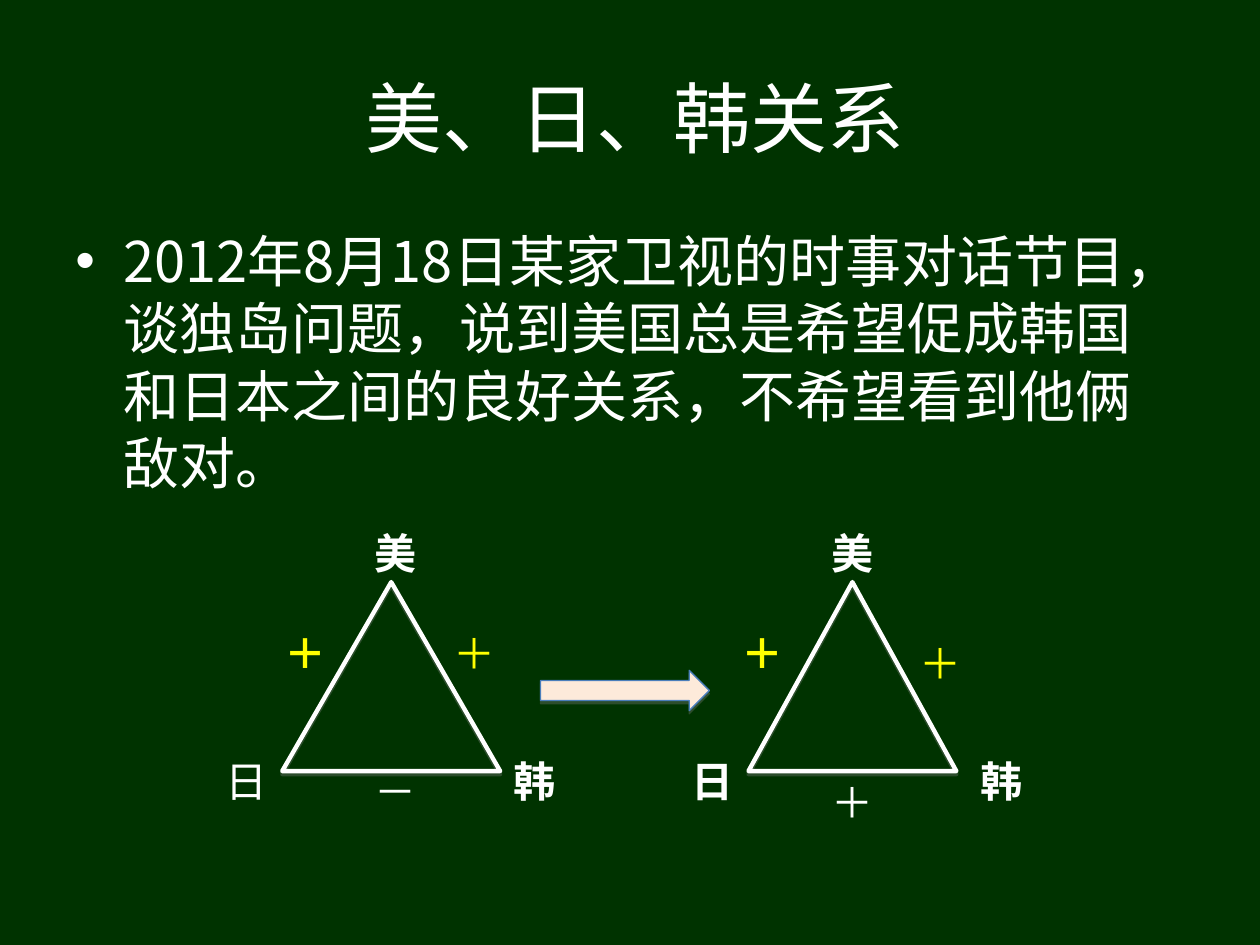
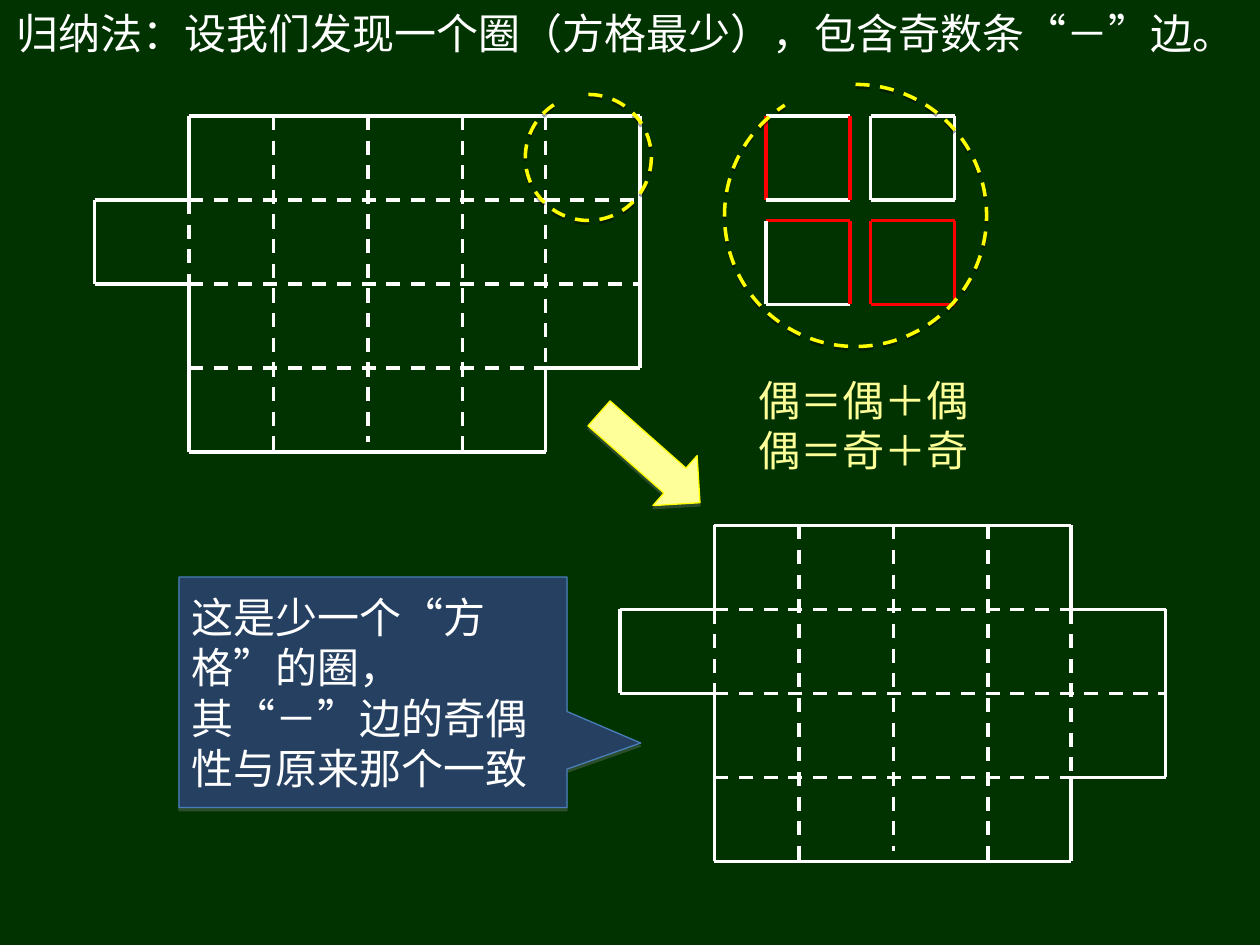
import pptx
import pptx.dml.color
import pptx.enum.dml
import pptx.enum.lang
import pptx.enum.shapes
import pptx.enum.text
import pptx.oxml
import pptx.oxml.ns
import pptx.util
from lxml import etree

Inches = pptx.util.Inches
Pt = pptx.util.Pt
RGBColor = pptx.dml.color.RGBColor
Shape = pptx.enum.shapes.MSO_SHAPE
qn = pptx.oxml.ns.qn

BOARD = RGBColor(0x00, 0x33, 0x00)
WHITE = RGBColor(0xFF, 0xFF, 0xFF)
YELLOW = RGBColor(0xFF, 0xFF, 0x00)
PALE_YELLOW = RGBColor(0xFF, 0xFF, 0x99)
RED = RGBColor(0xFF, 0x00, 0x00)
CREAM = RGBColor(0xFD, 0xEA, 0xDA)
NAVY = RGBColor(0x25, 0x40, 0x61)
BLUE = RGBColor(0x4A, 0x7E, 0xBB)
GRAY = RGBColor(0x80, 0x80, 0x80)
BLACK = RGBColor(0x00, 0x00, 0x00)

CJK_FONT = "Noto Sans CJK SC"
SIGN_FONT = "Arial"

CELL = 2 / 3
COLUMNS = [0, 0.75, 1.42, 2.17, 2.92, 3.58, 4.33]

# Edges are (first column, first row, last column, last row) on the grid.
OUTLINE = [
    (1, 0, 5, 0), (6, 1, 6, 3), (5, 3, 6, 3), (5, 3, 5, 4), (1, 4, 5, 4),
    (1, 2, 1, 4), (0, 2, 1, 2), (0, 1, 0, 2), (0, 1, 1, 1), (1, 0, 1, 1),
]
INNER = [
    (1, 1, 5, 1), (1, 2, 6, 2), (1, 3, 5, 3), (1, 1, 1, 2), (2, 0, 2, 4),
    (3, 0, 3, 3.88), (4, 0, 4, 4), (5, 1, 5, 3),
]
CORNER_OUTER = [(5, 0, 6, 0), (6, 0, 6, 1)]
CORNER_INNER = [(5, 0, 5, 1), (5, 1, 6, 1)]


def format_text(text_frame, size, color, font_name=CJK_FONT, bold=False):
    for paragraph in text_frame.paragraphs:
        for run in paragraph.runs:
            run.font.size = Pt(size)
            run.font.bold = bold
            run.font.color.rgb = color
            run.font.name = font_name
            run.font.language_id = pptx.enum.lang.MSO_LANGUAGE_ID.SIMPLIFIED_CHINESE
            latin = run.font._element.find(qn("a:latin"))
            east_asian = etree.Element(qn("a:ea"), typeface=font_name)
            latin.addnext(east_asian)


def add_text(slide, left, top, width, height, text, size=24, color=WHITE,
             font_name=CJK_FONT, bold=False):
    box = slide.shapes.add_textbox(Inches(left), Inches(top), Inches(width), Inches(height))
    box.text_frame.word_wrap = True
    box.text_frame.text = text
    format_text(box.text_frame, size, color, font_name, bold)
    return box


def add_shadow(shape, color, opacity, distance):
    """Give the shape a hard shadow straight below it."""
    shape.shadow.inherit = False
    effects = shape._element.spPr.find(qn("a:effectLst"))
    shadow = etree.SubElement(effects, qn("a:outerShdw"), blurRad="0",
                              dist=str(Pt(distance)), dir="5400000", rotWithShape="0")
    shade = etree.SubElement(shadow, qn("a:srgbClr"), val=str(color))
    etree.SubElement(shade, qn("a:alpha"), val=str(opacity * 1000))


def add_shape(slide, kind, left, top, width, height, fill, line, line_width):
    shape = slide.shapes.add_shape(kind, Inches(left), Inches(top), Inches(width), Inches(height))
    if fill is None:
        shape.fill.background()
    else:
        shape.fill.solid()
        shape.fill.fore_color.rgb = fill
    shape.line.color.rgb = line
    shape.line.width = Pt(line_width)
    add_shadow(shape, GRAY, 35, 1.8)
    return shape


def add_line(slide, x1, y1, x2, y2, color=WHITE, dashed=False):
    line = slide.shapes.add_connector(
        pptx.enum.shapes.MSO_CONNECTOR.STRAIGHT,
        Inches(x1), Inches(y1), Inches(x2), Inches(y2))
    line.line.color.rgb = color
    line.line.width = Pt(2)
    if dashed:
        line.line.dash_style = pptx.enum.dml.MSO_LINE.DASH
    etree.SubElement(line._element.spPr, qn("a:effectLst"))


def add_title(slide, left, top, width, height, text):
    title = slide.shapes.title
    title.left, title.top = Inches(left), Inches(top)
    title.width, title.height = Inches(width), Inches(height)
    title.text_frame.text = text
    title.text_frame.vertical_anchor = pptx.enum.text.MSO_ANCHOR.MIDDLE
    title.text_frame.paragraphs[0].alignment = pptx.enum.text.PP_ALIGN.CENTER
    format_text(title.text_frame, 44, WHITE)


def add_bullet_text(slide, left, top, width, height, text):
    box = add_text(slide, left, top, width, height, text, 32)
    properties = box.text_frame.paragraphs[0]._p.get_or_add_pPr()
    properties.set("marL", str(Inches(0.38)))
    properties.set("indent", str(Inches(-0.38)))
    etree.SubElement(properties, qn("a:buFont"), typeface="Arial")
    etree.SubElement(properties, qn("a:buChar"), char="•")


def add_triangle(slide, left, top, width, apex, sign_drop, base_sign, japan_bold):
    """Draw the three countries; apex is the offset of the top label."""
    add_shape(slide, Shape.ISOSCELES_TRIANGLE, left, top, width, 1.5, None, WHITE, 2.5)
    labels = [
        ("美", apex, -0.48, WHITE, CJK_FONT, True),
        ("日", -0.55, 1.33, WHITE, CJK_FONT, japan_bold),
        ("韩", 1.74, 1.33, WHITE, CJK_FONT, True),
        ("＋", apex - 0.71, 0.31, YELLOW, SIGN_FONT, True),
        ("＋", 1.26, 0.31 + sign_drop, YELLOW, SIGN_FONT, False),
        (base_sign, apex, 1.41 + sign_drop, WHITE, SIGN_FONT, False),
    ]
    for text, x, y, color, font_name, bold in labels:
        add_text(slide, left + x, top + y, 0.55, 0.5, text, 24, color, font_name, bold)


def add_loop(slide, left, top, has_corner):
    """Draw a loop of grid cells, with or without its top right cell."""
    solid = OUTLINE + (CORNER_OUTER if has_corner else CORNER_INNER)
    dashed = INNER + (CORNER_INNER if has_corner else [])
    for edges, is_dashed in ((dashed, True), (solid, False)):
        for column1, row1, column2, row2 in edges:
            add_line(slide, left + COLUMNS[column1], top + row1 * CELL,
                     left + COLUMNS[column2], top + row2 * CELL, dashed=is_dashed)


def add_square(slide, left, top, red_sides):
    right, bottom = left + CELL, top + CELL
    sides = {
        "top": (left, top, right, top),
        "left": (left, bottom, left, top),
        "bottom": (left, bottom, right, bottom),
        "right": (right, bottom, right, top),
    }
    for name, ends in sides.items():
        add_line(slide, *ends, color=RED if name in red_sides else WHITE)


def add_square_cases(slide, left, top):
    cases = [("left", "right"), (), ("top", "right"), ("top", "left", "bottom", "right")]
    for index, red_sides in enumerate(cases):
        row, column = divmod(index, 2)
        add_square(slide, left + column * 0.83, top + row * 0.83, red_sides)


def add_ring(slide, left, top, diameter):
    ring = add_shape(slide, Shape.ARC, left, top, diameter, diameter, None, YELLOW, 2)
    ring.adjustments[0] = 162
    ring.adjustments[1] = 142.4
    ring.line.dash_style = pptx.enum.dml.MSO_LINE.DASH
    add_shadow(ring, BLACK, 38, 1.6)


def add_callout(slide, left, top, width, height, text):
    callout = add_shape(slide, Shape.RECTANGULAR_CALLOUT, left, top, width, height,
                        NAVY, BLUE, 0.75)
    callout.adjustments[0] = 0.69
    callout.adjustments[1] = 0.22
    callout.text_frame.word_wrap = True
    callout.text_frame.vertical_anchor = pptx.enum.text.MSO_ANCHOR.MIDDLE
    callout.text_frame.text = text
    callout.text_frame.paragraphs[0].alignment = pptx.enum.text.PP_ALIGN.LEFT
    format_text(callout.text_frame, 24, WHITE)


def build_relations_slide(presentation):
    slide = presentation.slides.add_slide(presentation.slide_layouts[5])
    add_title(slide, 0.59, 0.3, 8.91, 1.25, "美、日、韩关系")
    add_bullet_text(
        slide, 0.5, 1.75, 9, 2.39,
        "2012年8月18日某家卫视的时事对话节目，谈独岛问题，说到美国总是希望促成"
        "韩国和日本之间的良好关系，不希望看到他俩敌对。")
    add_triangle(slide, 2.24, 4.62, 1.73, 0.63, 0, "－", False)
    add_triangle(slide, 5.94, 4.62, 1.65, 0.56, 0.08, "＋", True)
    add_shape(slide, Shape.RIGHT_ARROW, 4.29, 5.32, 1.34, 0.32, CREAM, BLUE, 0.75)


def build_induction_slide(presentation):
    slide = presentation.slides.add_slide(presentation.slide_layouts[6])
    add_text(slide, 0.03, 0.01, 9.97, 0.5,
             "归纳法：设我们发现一个圈（方格最少），包含奇数条“－”边。")
    add_loop(slide, 0.75, 0.92, True)
    add_loop(slide, 4.92, 4.17, False)
    arrow = add_shape(slide, Shape.DOWN_ARROW, 4.89, 3.1, 0.53, 1.07, PALE_YELLOW, YELLOW, 0.75)
    arrow.rotation = 311.5
    add_square_cases(slide, 6.08, 0.92)
    add_callout(slide, 1.42, 4.58, 3.08, 1.83,
                "这是少一个“方格”的圈，\v其“－”边的奇偶性与原来那个一致")
    add_ring(slide, 4.17, 0.75, 1)
    add_ring(slide, 5.75, 0.67, 2.08)
    add_text(slide, 5.92, 2.92, 2.5, 0.9, "偶＝偶＋偶\n偶＝奇＋奇", color=PALE_YELLOW)


def main():
    presentation = pptx.Presentation()
    presentation.slide_width = Inches(10)
    presentation.slide_height = Inches(7.5)
    background = presentation.slide_master.background.fill
    background.solid()
    background.fore_color.rgb = BOARD
    build_relations_slide(presentation)
    build_induction_slide(presentation)
    presentation.save("out.pptx")


if __name__ == "__main__":
    main()
